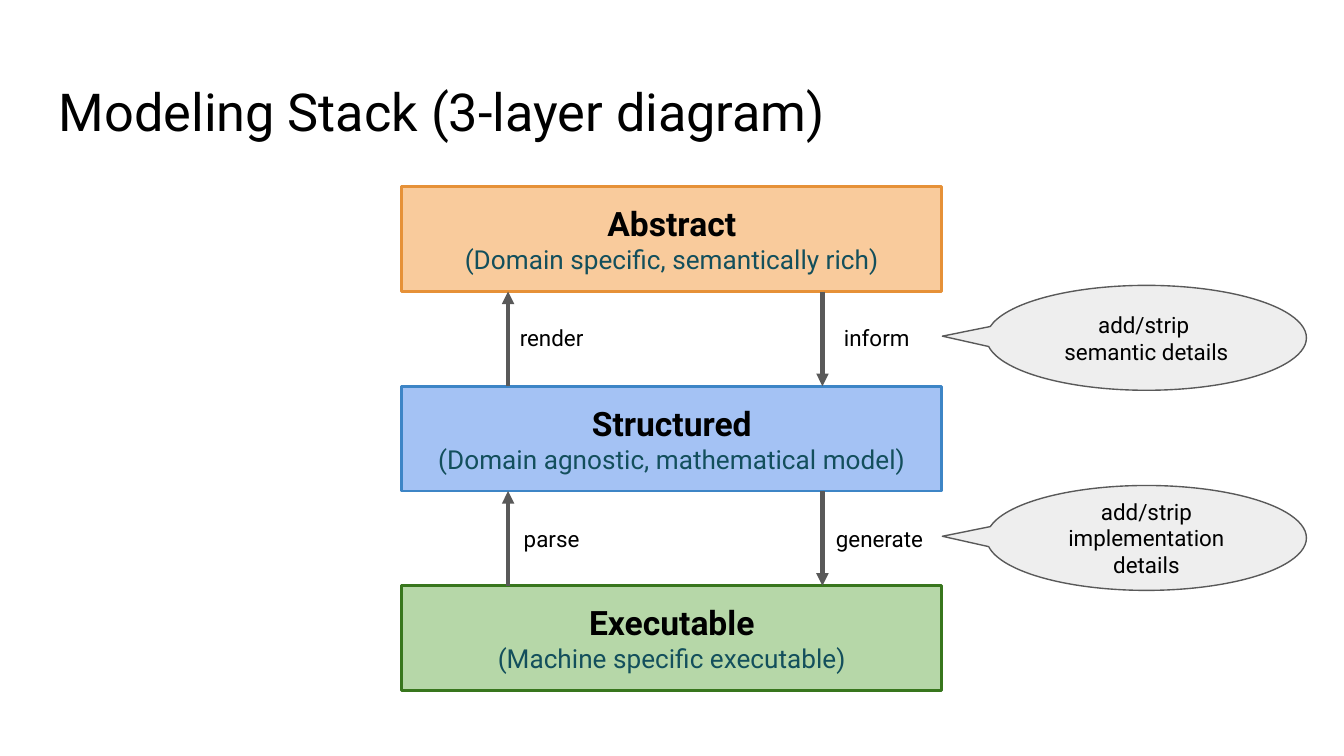
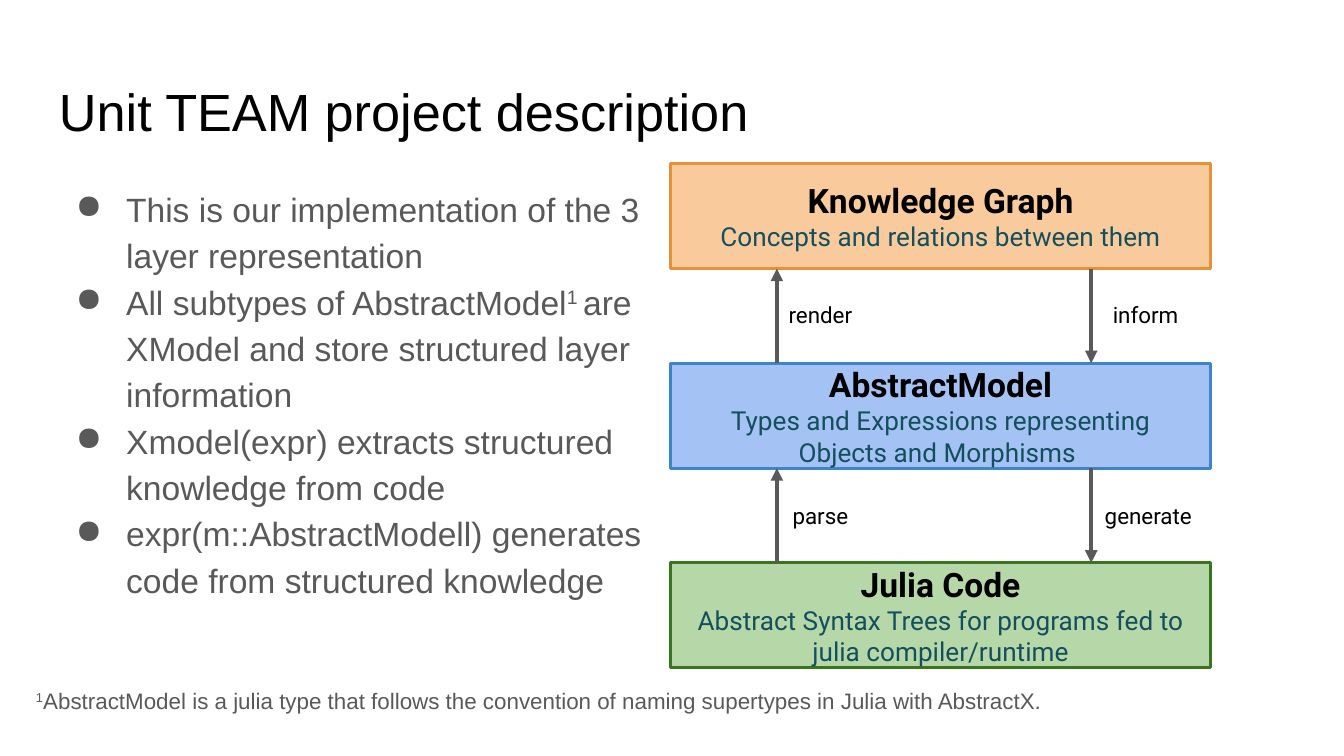
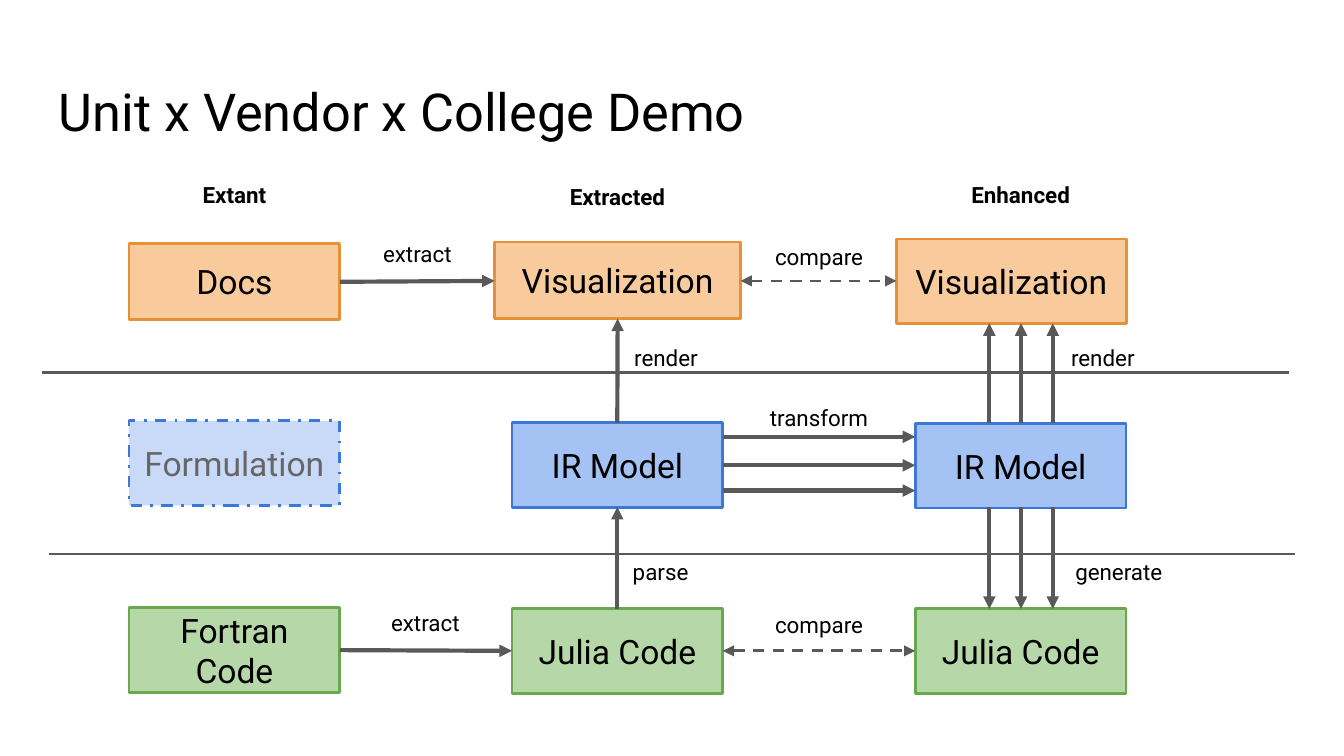
from lxml import etree
from pptx import Presentation
from pptx.dml.color import RGBColor
from pptx.enum.dml import MSO_LINE
from pptx.enum.shapes import MSO_CONNECTOR, MSO_SHAPE
from pptx.enum.text import MSO_ANCHOR, PP_ALIGN
from pptx.oxml.ns import qn
from pptx.util import Pt

LEFT, CENTER = PP_ALIGN.LEFT, PP_ALIGN.CENTER
TOP, MIDDLE = MSO_ANCHOR.TOP, MSO_ANCHOR.MIDDLE
DASH, DASH_DOT = MSO_LINE.DASH, MSO_LINE.DASH_DOT
RECT, CALLOUT = MSO_SHAPE.RECTANGLE, MSO_SHAPE.OVAL_CALLOUT
STRAIGHT = MSO_CONNECTOR.STRAIGHT

BLACK, GREY, TEAL, PALE_GREY = "000000", "595959", "134F5C", "EEEEEE"
ORANGE, ORANGE_EDGE = "F9CB9C", "E69138"
BLUE, GREEN = "A4C2F4", "B6D7A8"


def rgb(value):
    return RGBColor.from_string(value)


def add_bullet(para):
    props = para._p.get_or_add_pPr()
    props.set("marL", str(Pt(36)))
    props.set("indent", str(-Pt(27)))
    color = etree.SubElement(props, qn("a:buClr"))
    etree.SubElement(color, qn("a:srgbClr")).set("val", GREY)
    etree.SubElement(props, qn("a:buChar")).set("char", "●")


def write(box, text, font="Roboto", size=12, color=BLACK, bold=False,
          align=CENTER, anchor=MIDDLE, spacing=None, after=None, bullet=False):
    """Add one paragraph per line of text; ^ marks enclose superscript."""
    frame = box.text_frame
    frame.word_wrap = True
    frame.vertical_anchor = anchor
    frame.margin_left = frame.margin_right = Pt(7.2)
    frame.margin_top = frame.margin_bottom = Pt(7.2)
    for line in text.split("\n"):
        para = frame.add_paragraph() if frame.text else frame.paragraphs[0]
        para.alignment = align
        if spacing:
            para.line_spacing = spacing
        if after:
            para.space_after = Pt(after)
        if bullet:
            add_bullet(para)
        for index, part in enumerate(line.split("^")):
            if not part:
                continue
            span = para.add_run()
            span.text = part
            span.font.name = font
            span.font.size = Pt(size)
            span.font.bold = bold
            span.font.color.rgb = rgb(color)
            if index % 2:
                span._r.get_or_add_rPr().set("baseline", "30000")


class Deck:
    def __init__(self):
        self.file = Presentation()
        self.file.slide_width, self.file.slide_height = Pt(720), Pt(405)
        self.page = None

    def add_page(self, title, font="Roboto"):
        self.page = self.file.slides.add_slide(self.file.slide_layouts[6])
        self.text(24.5, 35.3, 671, 45, title, font=font, size=28,
                  align=LEFT, anchor=TOP)

    def text(self, x, y, width, height, text, **style):
        box = self.page.shapes.add_textbox(Pt(x), Pt(y), Pt(width), Pt(height))
        write(box, text, **style)

    def label(self, x, y, text, **style):
        self.text(x, y, 82.8, 30.2, text, **style)

    def shape(self, kind, x, y, width, height, fill, edge, weight=1.5, dash=None):
        box = self.page.shapes.add_shape(kind, Pt(x), Pt(y), Pt(width), Pt(height))
        box.shadow.inherit = False
        box.fill.solid()
        box.fill.fore_color.rgb = rgb(fill)
        box.line.color.rgb = rgb(edge)
        box.line.width = Pt(weight)
        if dash:
            box.line.dash_style = dash
        return box

    def line(self, x1, y1, x2, y2, weight=2.25, dash=None, ends=("tailEnd",)):
        line = self.page.shapes.add_connector(STRAIGHT, Pt(x1), Pt(y1), Pt(x2), Pt(y2))
        line.line.color.rgb = rgb(GREY)
        line.line.width = Pt(weight)
        if dash:
            line.line.dash_style = dash
        props = line._element.spPr
        for end in ends:
            etree.SubElement(props.find(qn("a:ln")), qn("a:" + end)).set("type", "triangle")
        etree.SubElement(props, qn("a:effectLst"))

    def compare(self, x1, x2, y):
        self.line(x1, y, x2, y, weight=1.5, dash=DASH, ends=("headEnd", "tailEnd"))

    def callout(self, x, y, text):
        box = self.shape(CALLOUT, x, y, 171.4, 56.2, PALE_GREY, GREY, 0.75)
        box.adjustments[0], box.adjustments[1] = -0.638, -0.016
        write(box, text)

    def stack(self, x, y, layers):
        """Draw three layers with arrows up and down between them."""
        height, step = 56.2, 106.9
        colors = [(ORANGE, ORANGE_EDGE), (BLUE, "3D85C6"), (GREEN, "38761D")]
        for row, ((name, detail), (fill, edge)) in enumerate(zip(layers, colors)):
            box = self.shape(RECT, x, y + row * step, 289.4, height, fill, edge)
            write(box, name, size=18, bold=True)
            write(box, detail, size=14, color=TEAL)
        for row, (up, down) in enumerate([("render", "inform"), ("parse", " generate")]):
            top, bottom = y + row * step + height, y + (row + 1) * step
            self.line(x + 57, bottom, x + 57, top)
            self.line(x + 225.4, top, x + 225.4, bottom)
            self.label(x + 38.9, y + 65.5 + row * 108, up)
            self.label(x + 213.1, y + 65.5 + row * 108, down)


def add_modeling_stack(deck):
    deck.add_page("Modeling Stack (3-layer diagram)")
    deck.stack(215.2, 100, [
        ("Abstract", "(Domain specific, semantically rich)"),
        ("Structured", "(Domain agnostic, mathematical model)"),
        ("Executable", "(Machine specific executable)"),
    ])
    deck.callout(528.5, 152.9, "add/strip \nsemantic details")
    deck.callout(528.5, 260.1, "add/strip implementation details")


def add_project_description(deck):
    deck.add_page("Unit TEAM project description", font="Arial")
    body = dict(font="Arial", color=GREY, align=LEFT, anchor=TOP, spacing=1.15)
    deck.text(24.5, 90.7, 334.8, 269.3,
              "This is our implementation of the 3 layer representation\n"
              "All subtypes of AbstractModel^1 ^are XModel and store structured"
              " layer information\n"
              "Xmodel(expr) extracts structured knowledge from code\n"
              "expr(m::AbstractModell) generates code from structured knowledge",
              size=18, bullet=True, **body)
    deck.stack(359.2, 87.7, [
        ("Knowledge Graph", "Concepts and relations between them"),
        ("AbstractModel", "Types and Expressions representing Objects and Morphisms "),
        ("Julia Code", "Abstract Syntax Trees for programs fed to julia compiler/runtime"),
    ])
    deck.text(12.2, 358.6, 664.6, 45.4,
              "^1^AbstractModel is a julia type that follows the convention of"
              " naming supertypes in Julia with AbstractX.", after=16, **body)


def add_demo(deck):
    deck.add_page("Unit x Vendor x College Demo")
    for x, y in [(22.5, 199.4), (26, 296.8)]:
        deck.line(x, y, x + 668, y, weight=1.5, ends=())

    # Column headings
    for x, y, heading in [(84.2, 89.3, "Extant"), (289.4, 90.2, "Extracted"),
                          (505.4, 89.3, "Enhanced")]:
        deck.label(x, y, heading, bold=True)

    # Documents, models and code
    extant, extracted, enhanced, width = 69.1, 274.3, 490.3, 113
    for x, y, w, h, name in [(extant, 130.3, width, 41, "Docs"),
                             (265, 129.7, 131.8, 41, "Visualization"),
                             (480.2, 128.1, 123.1, 45.3, "Visualization")]:
        write(deck.shape(RECT, x, y, w, h, ORANGE, ORANGE_EDGE), name, size=18)
    for x, y, name, fill, edge in [
            (extracted, 226.5, "IR Model", BLUE, "3C78D8"),
            (enhanced, 226.9, "IR Model", BLUE, "3C78D8"),
            (extant, 325.7, "Fortran Code", GREEN, "6AA84F"),
            (extracted, 326.2, "Julia Code", GREEN, "6AA84F"),
            (enhanced, 326.2, "Julia Code", GREEN, "6AA84F")]:
        write(deck.shape(RECT, x, y, width, 45.3, fill, edge), name, size=18)
    formulation = deck.shape(RECT, extant, 225.5, width, 45.3, "C9DAF8", "3C78D8",
                             dash=DASH_DOT)
    write(formulation, "Formulation", size=18, color="666666")

    # Single arrows
    deck.line(extant + width, 151, 265, 150.5)
    deck.line(extant + width, 348.3, extracted, 348.7)
    deck.line(330.7, 326.2, 330.7, 271.6)
    deck.line(330.7, 226.5, 330.9, 170.7)

    # Triple arrows around the enhanced model
    for x in (530, 547, 564):
        deck.line(x, 226.5, x, 173.2)
        deck.line(x, 271.8, x, 326.2)
    for y in (234, 249.3, 262.8):
        deck.line(extracted + width, y, enhanced, y)

    # Comparisons
    deck.compare(396.8, 480.2, 150.5)
    deck.compare(extracted + width, enhanced, 348.7)

    # Arrow labels
    for x, y, name in [(182.2, 120.6, "extract"), (186.5, 318.6, "extract"),
                       (397.4, 122.6, "compare"), (397.4, 319.7, "compare"),
                       (397.4, 208.8, "transform"),
                       (315.4, 176.7, "render"), (549.4, 176.7, "render"),
                       (312.5, 291, "parse"), (558, 291, "generate")]:
        deck.label(x, y, name)


def main():
    deck = Deck()
    add_modeling_stack(deck)
    add_project_description(deck)
    add_demo(deck)
    deck.file.save("out.pptx")


if __name__ == "__main__":
    main()
